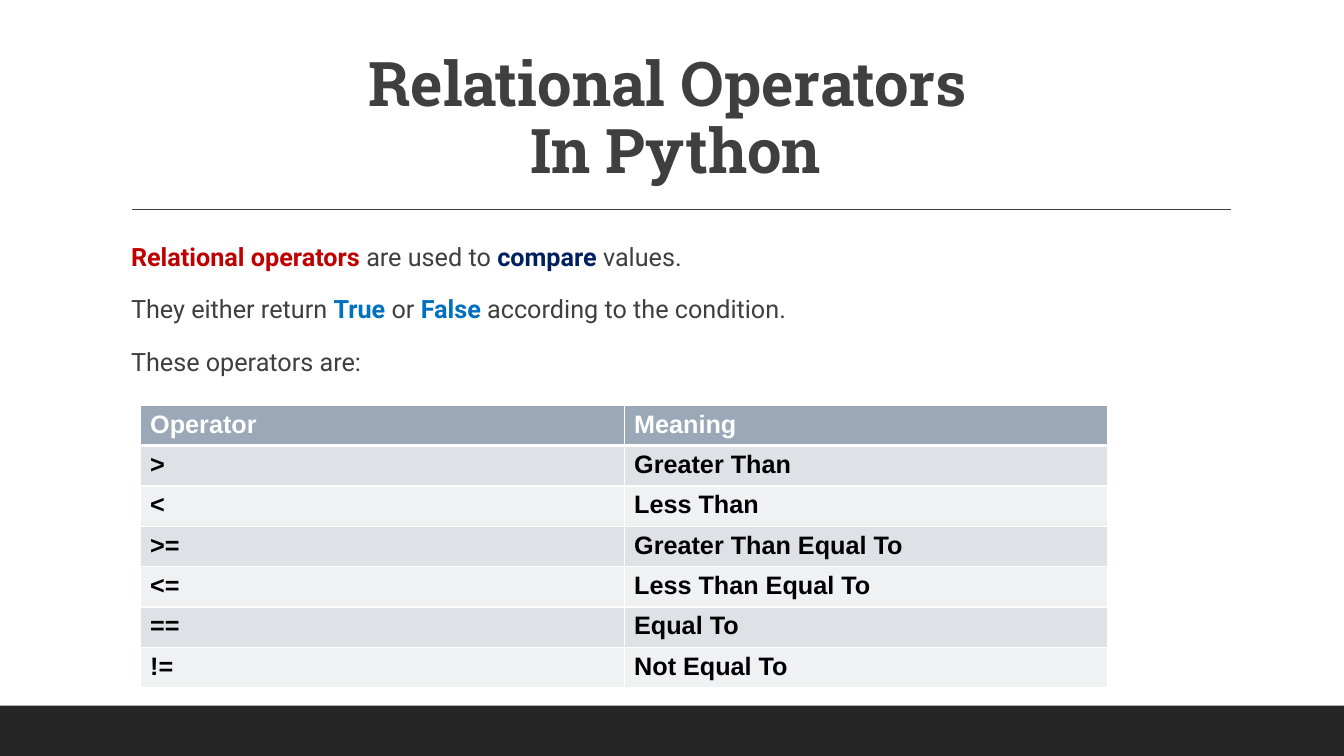
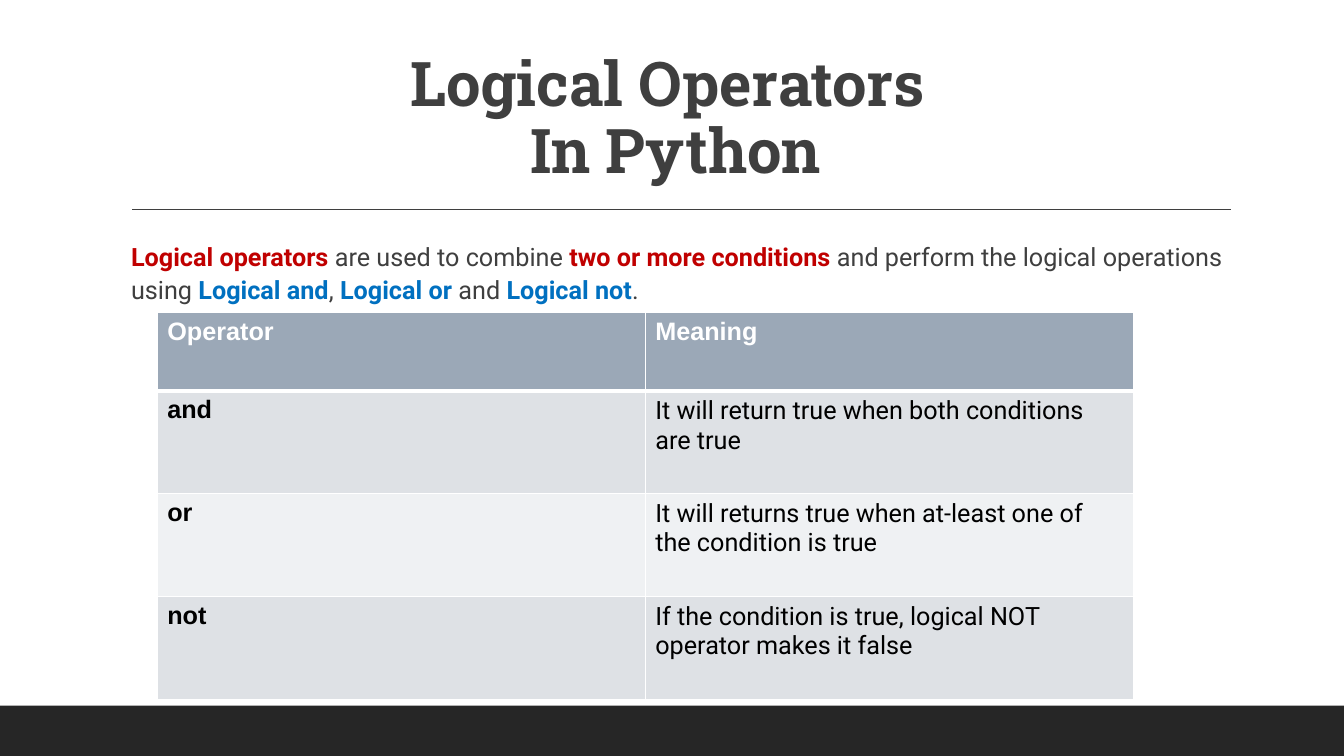
from dataclasses import dataclass

from lxml import etree
from pptx import Presentation, util as u
from pptx.dml.color import RGBColor
from pptx.enum import shapes, text
from pptx.oxml import ns
from pptx.slide import Slide
from pptx.table import _Cell
from pptx.text.text import Font, TextFrame


@dataclass(frozen=True)
class Theme:
    ink: str = "3F3F3F"
    band: str = "262626"
    red: str = "C00000"
    navy: str = "002060"
    blue: str = "0070C0"
    white: str = "FFFFFF"
    black: str = "000000"
    header: str = "9BA8B7"
    stripes: tuple[str, str] = ("DEE1E5", "EFF1F3")
    title_font: str = "Roboto Slab"
    body_font: str = "Roboto"
    table_font: str = "Arial"
    title_size: int = 44
    body_size: int = 18
    rule_width: int = 1
    header_rule_width: int = 3


THEME = Theme()


@dataclass(frozen=True)
class Span:
    text: str
    accent: str | None = None


@dataclass(frozen=True)
class OperatorTable:
    left: float
    top: float
    column_width: float
    header_height: float
    row_height: float
    rows: tuple[tuple[str, str], ...]
    meaning_font: str = THEME.table_font
    meaning_bold: bool = True


@dataclass(frozen=True)
class Lesson:
    title: str
    intro: tuple[tuple[Span, ...], ...]
    operators: OperatorTable


LESSONS = (
    Lesson(
        "Relational Operators \vIn Python",
        (
            (
                Span("Relational operators ", THEME.red),
                Span("are used to "),
                Span("compare", THEME.navy),
                Span(" values."),
            ),
            (
                Span("They either return "),
                Span("True", THEME.blue),
                Span(" or "),
                Span("False", THEME.blue),
                Span(" according to the condition."),
            ),
            (Span("These operators are:"),),
        ),
        OperatorTable(
            1.39, 4.02, 4.8, 0.38, 0.38,
            (
                (">", "Greater Than"),
                ("<", "Less Than"),
                (">=", "Greater Than Equal To"),
                ("<=", "Less Than Equal To"),
                ("==", "Equal To"),
                ("!=", "Not Equal To"),
            ),
        ),
    ),
    Lesson(
        "Logical Operators \vIn Python",
        (
            (
                Span("Logical operators ", THEME.red),
                Span("are used to combine "),
                Span("two or more conditions ", THEME.red),
                Span("and perform the logical operations using "),
                Span("Logical and", THEME.blue),
                Span(", "),
                Span("Logical or ", THEME.blue),
                Span("and "),
                Span("Logical not", THEME.blue),
                Span("."),
            ),
        ),
        OperatorTable(
            1.56, 3.1, 4.84, 0.78, 1.02,
            (
                ("and", "It will return true when both conditions are true"),
                ("or", "It will returns true when at-least one of the condition is true"),
                ("not", "If the condition is true, logical NOT operator makes it false"),
            ),
            meaning_font=THEME.body_font,
            meaning_bold=False,
        ),
    ),
)


def style_font(font: Font, name: str, size: int, color: str, bold: bool) -> None:
    font.name = name
    font.size = u.Pt(size)
    font.bold = bold
    font.color.rgb = RGBColor.from_string(color)


def add_frame(slide: Slide, left: float, top: float, width: float, height: float) -> TextFrame:
    frame = slide.shapes.add_textbox(
        u.Inches(left), u.Inches(top), u.Inches(width), u.Inches(height)
    ).text_frame
    frame.word_wrap = True
    return frame


def add_band_and_rule(slide: Slide) -> None:
    band = slide.shapes.add_shape(
        shapes.MSO_SHAPE.RECTANGLE, 0, u.Inches(7), u.Inches(13.33), u.Inches(0.5)
    )
    band.shadow.inherit = False
    band.fill.solid()
    band.fill.fore_color.rgb = RGBColor.from_string(THEME.band)
    band.line.fill.background()

    rule = slide.shapes.add_connector(
        shapes.MSO_CONNECTOR.STRAIGHT,
        u.Inches(1.31), u.Inches(2.08), u.Inches(12.21), u.Inches(2.08),
    )
    rule.line.color.rgb = RGBColor.from_string(THEME.ink)
    rule.line.width = u.Pt(THEME.rule_width)
    etree.SubElement(rule._element.spPr, ns.qn("a:effectLst"))


def add_title(slide: Slide, title: str) -> None:
    frame = add_frame(slide, 1.2, 0.31, 11, 1.59)
    frame.vertical_anchor = text.MSO_ANCHOR.BOTTOM
    heading = frame.paragraphs[0]
    heading.text = title
    heading.alignment = text.PP_ALIGN.CENTER
    heading.line_spacing = 0.9
    style_font(heading.font, THEME.title_font, THEME.title_size, THEME.ink, True)


def add_intro(slide: Slide, intro: tuple[tuple[Span, ...], ...]) -> None:
    frame = add_frame(slide, 1.3, 2.31, 10.9, 4.11)
    frame.margin_left = frame.margin_right = 0
    for index, spans in enumerate(intro):
        sentence = frame.add_paragraph() if index else frame.paragraphs[0]
        sentence.line_spacing = 1.1
        sentence.space_before = u.Pt(14 if index else 0)
        style_font(sentence.font, THEME.body_font, THEME.body_size, THEME.ink, False)
        for span in spans:
            words = sentence.add_run()
            words.text = span.text
            if span.accent:
                words.font.bold = True
                words.font.color.rgb = RGBColor.from_string(span.accent)


def set_borders(cell: _Cell, bottom_width: int, top_width: int) -> None:
    properties = cell._tc.get_or_add_tcPr()
    side = THEME.rule_width
    widths = {"lnL": side, "lnR": side, "lnT": top_width, "lnB": bottom_width}
    for edge, width in widths.items():
        border = etree.SubElement(properties, ns.qn(f"a:{edge}"), w=str(u.Pt(width)))
        fill = etree.SubElement(border, ns.qn("a:solidFill"))
        etree.SubElement(fill, ns.qn("a:srgbClr"), val=THEME.white)


def add_operators(slide: Slide, operators: OperatorTable) -> None:
    rows = (("Operator", "Meaning"), *operators.rows)
    heights = (operators.header_height,) + (operators.row_height,) * len(operators.rows)
    grid = slide.shapes.add_table(
        len(rows), 2, u.Inches(operators.left), u.Inches(operators.top),
        u.Inches(2 * operators.column_width), u.Inches(sum(heights)),
    ).table
    for row_index, (entries, height) in enumerate(zip(rows, heights)):
        grid.rows[row_index].height = u.Inches(height)
        is_header = row_index == 0
        fill = THEME.header if is_header else THEME.stripes[(row_index - 1) % 2]
        color = THEME.white if is_header else THEME.black
        bottom = THEME.header_rule_width if is_header else THEME.rule_width
        top = THEME.header_rule_width if row_index == 1 else THEME.rule_width
        for column_index, entry in enumerate(entries):
            cell = grid.cell(row_index, column_index)
            set_borders(cell, bottom, top)
            cell.fill.solid()
            cell.fill.fore_color.rgb = RGBColor.from_string(fill)
            cell.text = entry
            is_meaning = column_index == 1 and not is_header
            style_font(
                cell.text_frame.paragraphs[0].font,
                operators.meaning_font if is_meaning else THEME.table_font,
                THEME.body_size,
                color,
                operators.meaning_bold if is_meaning else True,
            )


def main() -> None:
    deck = Presentation()
    deck.slide_width = u.Inches(13.33)
    deck.slide_height = u.Inches(7.5)
    for lesson in LESSONS:
        slide = deck.slides.add_slide(deck.slide_layouts[6])
        add_band_and_rule(slide)
        add_title(slide, lesson.title)
        add_intro(slide, lesson.intro)
        add_operators(slide, lesson.operators)
    deck.save("out.pptx")


if __name__ == "__main__":
    main()
